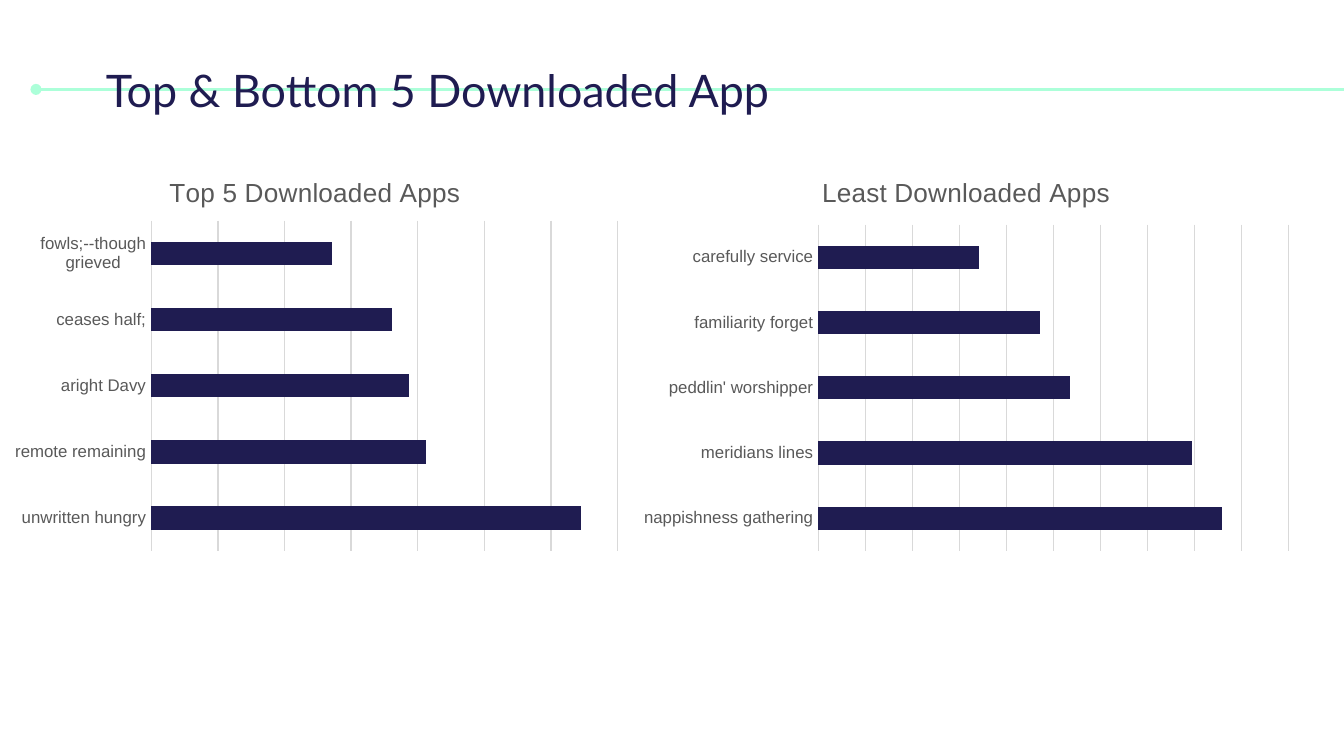
from lxml import etree
from pptx import Presentation
from pptx.chart.data import CategoryChartData
from pptx.dml.color import RGBColor
from pptx.enum.chart import XL_CHART_TYPE, XL_TICK_MARK
from pptx.enum.shapes import MSO_CONNECTOR
from pptx.enum.text import MSO_ANCHOR
from pptx.oxml import parse_xml
from pptx.oxml.ns import nsdecls, qn
from pptx.util import Cm, Pt

BAR = XL_CHART_TYPE.BAR_CLUSTERED
NO_TICK = XL_TICK_MARK.NONE
STRAIGHT = MSO_CONNECTOR.STRAIGHT
MIDDLE = MSO_ANCHOR.MIDDLE
NAVY, MINT, GREY, PALE, BLACK = "1F1C51", "ACFFD9", "595959", "D9D9D9", "000000"


def color(value):
    return RGBColor.from_string(value)


class SlideBuilder:
    """Holds the slide style and draws its elements."""

    def __init__(self, page):
        self.page = page
        self.heading_font = "Lato"
        self.chart_font = "Arial"

    def style_font(self, font, name, size, tint):
        font.name = name
        font.size = Pt(size)
        font.bold = False
        font.color.rgb = color(tint)

    def style_line(self, line, tint, width):
        line.color.rgb = color(tint)
        line.width = Pt(width)

    def rule(self, left, right, top):
        rule = self.page.shapes.add_connector(STRAIGHT, Cm(left), Cm(top), Cm(right), Cm(top))
        self.style_line(rule.line, MINT, 1.5)
        properties = rule._element.spPr
        outline = properties.find(qn("a:ln"))
        etree.SubElement(outline, qn("a:headEnd"), type="oval")
        etree.SubElement(properties, qn("a:effectLst"))

    def heading(self, text, left, top, width, height):
        box = self.page.shapes.add_textbox(Cm(left), Cm(top), Cm(width), Cm(height))
        frame = box.text_frame
        frame.word_wrap = True
        frame.vertical_anchor = MIDDLE
        frame.margin_left = frame.margin_right = Cm(0.25)
        frame.margin_top = frame.margin_bottom = Cm(0.25)
        para = frame.paragraphs[0]
        para.text = text
        self.style_font(para.font, self.heading_font, 24, NAVY)

    def bar_chart(self, title, bars, place, scale, plot_area):
        data = CategoryChartData()
        data.categories = list(bars)
        data.add_series("Series 1", list(bars.values()))
        frame = self.page.shapes.add_chart(BAR, *map(Cm, place), data)
        chart = frame.chart
        self.style_font(chart.font, self.chart_font, 10, BLACK)
        chart.has_legend = False
        chart.has_title = True
        para = chart.chart_title.text_frame.paragraphs[0]
        para.text = title
        self.style_font(para.font, self.chart_font, 14, GREY)

        plot = chart.plots[0]
        plot.gap_width = 182
        plot.vary_by_categories = False
        fill = plot.series[0].format.fill
        fill.solid()
        fill.fore_color.rgb = color(NAVY)

        names = chart.category_axis
        names.major_tick_mark = names.minor_tick_mark = NO_TICK
        self.style_font(names.tick_labels.font, self.chart_font, 9, GREY)
        self.style_line(names.format.line, PALE, 0.75)

        values = chart.value_axis
        values.minimum_scale, values.maximum_scale, values.major_unit = scale
        values.has_major_gridlines = True
        self.style_line(values.major_gridlines.format.line, PALE, 0.75)
        values.visible = False
        self.place_plot(chart, plot_area)

    def place_plot(self, chart, plot_area):
        area = chart._chartSpace.chart.plotArea
        for old in area.findall(qn("c:layout")):
            area.remove(old)
        settings = [("layoutTarget", "inner"), ("xMode", "edge"), ("yMode", "edge")]
        settings += zip("xywh", plot_area)
        parts = "".join(f'<c:{name} val="{value}"/>' for name, value in settings)
        layout = f'<c:layout {nsdecls("c")}><c:manualLayout>{parts}</c:manualLayout></c:layout>'
        area.insert(0, parse_xml(layout))


def main():
    deck = Presentation()
    deck.slide_width, deck.slide_height = Cm(25.4), Cm(14.29)
    slide = SlideBuilder(deck.slides.add_slide(deck.slide_layouts[6]))
    slide.rule(0.68, 25.4, 1.69)
    slide.heading("Top & Bottom 5 Downloaded App", 1.75, 0.94, 16.9, 1.5)

    least = {
        "nappishness gathering": 100,
        "meridians lines": 99,
        "peddlin' worshipper": 95,
        "familiarity forget": 94,
        "carefully service": 92,
    }
    top = {
        "unwritten hungry": 100,
        "remote remaining": 64,
        "aright Davy": 60,
        "ceases half;": 56,
        "fowls;--though grieved": 42,
    }
    slide.bar_chart("Least Downloaded Apps", least, (11.91, 2.95, 12.7, 7.62),
                    (86.7, 102.2, 1.55), (0.28, 0.17, 0.7, 0.81))
    slide.bar_chart("Top 5 Downloaded Apps", top, (0, 2.95, 11.91, 7.62),
                    (0, 108.5, 15.5), (0.24, 0.16, 0.74, 0.82))
    deck.save("out.pptx")


if __name__ == "__main__":
    main()
